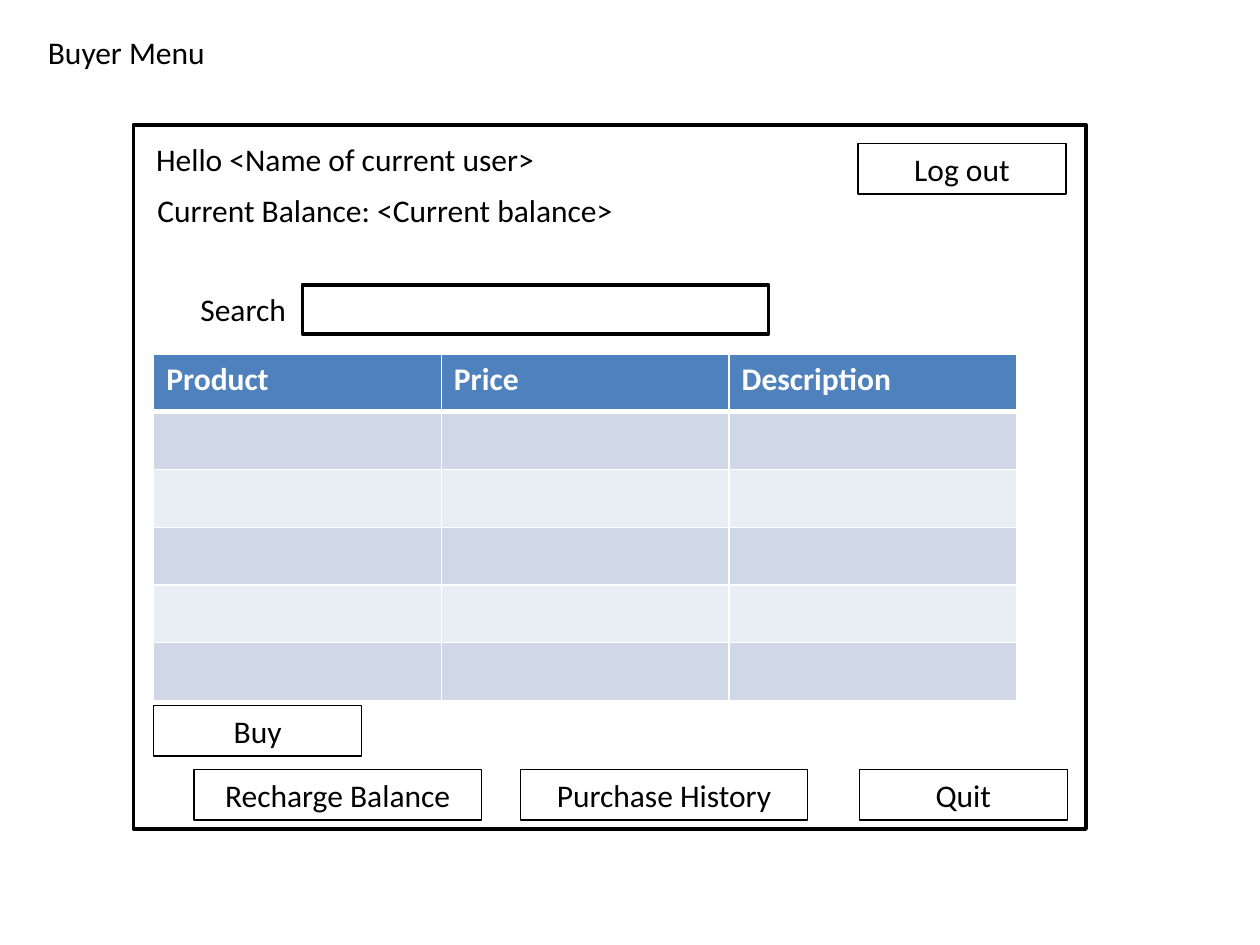
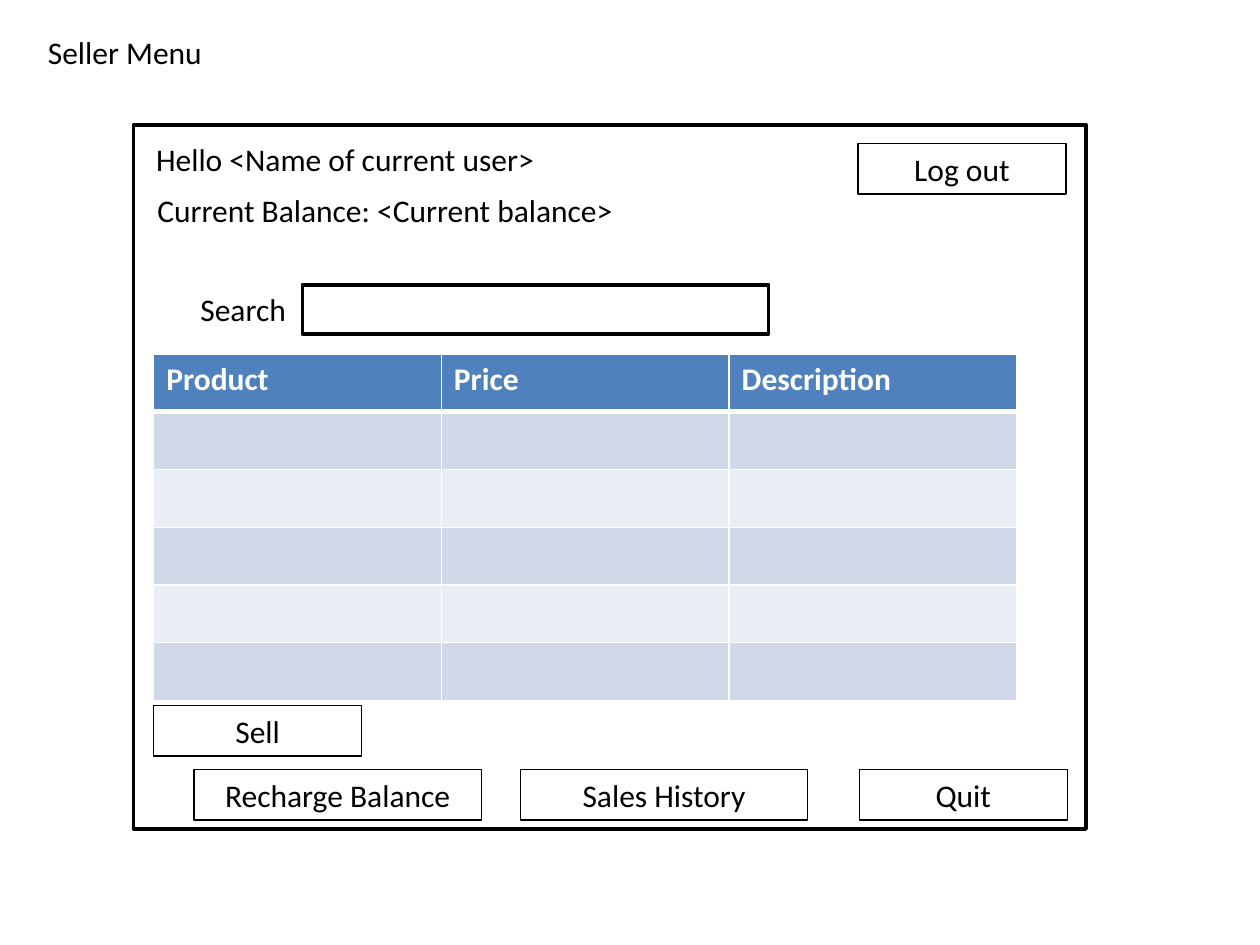
from lxml.etree import SubElement
from pptx import Presentation
from pptx.dml.color import RGBColor
from pptx.enum.shapes import MSO_SHAPE
from pptx.enum.text import MSO_ANCHOR, MSO_AUTO_SIZE, PP_ALIGN
from pptx.oxml.ns import qn
from pptx.util import Inches, Pt

BLACK = RGBColor(0x00, 0x00, 0x00)
WHITE = RGBColor(0xFF, 0xFF, 0xFF)
HEADER_BLUE = RGBColor(0x4F, 0x81, 0xBD)
BAND_DARK = RGBColor(0xD0, 0xD8, 0xE8)
BAND_LIGHT = RGBColor(0xE9, 0xED, 0xF4)

FONT = "Calibri"
TEXT_SIZE = Pt(18)
GRID_COLUMNS, GRID_ROWS = 100, 75
TITLE_ONLY_LAYOUT = 5

# Widths and heights in grid units
LINE_HEIGHT = 4
SMALL_BUTTON, WIDE_BUTTON = 16.5, 22.8
CONTENT_LEFT = 12.2
BOTTOM_ROW = 61.1
HEADINGS = ("Product", "Price", "Description")
EMPTY_ROWS = 5


class MenuMockup:
    """Holds the shared style and draws on the current slide."""

    def __init__(self, presentation):
        """Measure the grid on the slide size."""
        self.presentation = presentation
        self.column = presentation.slide_width / GRID_COLUMNS
        self.row = presentation.slide_height / GRID_ROWS
        self.slide = None

    def box(self, left, top, width, height):
        """Turn grid units into left, top, width and height."""
        return (round(left * self.column), round(top * self.row),
                round(width * self.column), round(height * self.row))

    def style_text(self, text_frame, color=BLACK, bold=False,
                   alignment=PP_ALIGN.LEFT):
        """Give every paragraph the common font and the alignment."""
        for paragraph in text_frame.paragraphs:
            paragraph.alignment = alignment
            for run in paragraph.runs:
                run.font.name = FONT
                run.font.size = TEXT_SIZE
                run.font.bold = bold
                run.font.color.rgb = color

    def start_slide(self, title):
        """Add a slide with its title in the top left corner."""
        layout = self.presentation.slide_layouts[TITLE_ONLY_LAYOUT]
        self.slide = self.presentation.slides.add_slide(layout)
        shape = self.slide.shapes.title
        shape.left, shape.top, shape.width, shape.height = self.box(
            2.8, 2.1, 14.6, LINE_HEIGHT)
        text_frame = shape.text_frame
        text_frame.text = title
        text_frame.word_wrap = False
        text_frame.auto_size = MSO_AUTO_SIZE.SHAPE_TO_FIT_TEXT
        text_frame.vertical_anchor = MSO_ANCHOR.TOP
        self.style_text(text_frame)

    def label(self, text, left, top, width, alignment=PP_ALIGN.LEFT):
        """Add a line of plain text."""
        shape = self.slide.shapes.add_textbox(
            *self.box(left, top, width, LINE_HEIGHT))
        text_frame = shape.text_frame
        text_frame.text = text
        text_frame.word_wrap = True
        text_frame.auto_size = MSO_AUTO_SIZE.SHAPE_TO_FIT_TEXT
        self.style_text(text_frame, alignment=alignment)

    def frame(self, left, top, width, height):
        """Add a white rectangle with a thick outline."""
        shape = self.slide.shapes.add_shape(
            MSO_SHAPE.RECTANGLE, *self.box(left, top, width, height))
        shape.shadow.inherit = False
        shape.fill.solid()
        shape.fill.fore_color.rgb = WHITE
        shape.line.color.rgb = BLACK
        shape.line.width = Pt(2)

    def button(self, text, left, top, width=SMALL_BUTTON):
        """Add a thinly outlined button with a centred caption."""
        shape = self.slide.shapes.add_shape(
            MSO_SHAPE.RECTANGLE, *self.box(left, top, width, LINE_HEIGHT))
        shape.shadow.inherit = False
        shape.fill.background()
        shape.line.color.rgb = BLACK
        shape.line.width = Pt(0.75)
        text_frame = shape.text_frame
        text_frame.text = text
        text_frame.word_wrap = True
        text_frame.auto_size = MSO_AUTO_SIZE.SHAPE_TO_FIT_TEXT
        self.style_text(text_frame, alignment=PP_ALIGN.CENTER)

    def cell_borders(self, cell, top, bottom):
        """Draw white borders round a cell; top and bottom are in points."""
        properties = cell._tc.get_or_add_tcPr()
        widths = {"a:lnL": 1, "a:lnR": 1, "a:lnT": top, "a:lnB": bottom}
        for tag, points in widths.items():
            line = SubElement(properties, qn(tag), w=str(Pt(points)))
            fill = SubElement(line, qn("a:solidFill"))
            SubElement(fill, qn("a:srgbClr"), val=str(WHITE))

    def product_table(self, left, top, width, height):
        """Add the headed, banded table of products."""
        table = self.slide.shapes.add_table(
            EMPTY_ROWS + 1, len(HEADINGS),
            *self.box(left, top, width, height)).table
        for column, heading in enumerate(HEADINGS):
            table.cell(0, column).text = heading
            self.style_text(table.cell(0, column).text_frame, WHITE, bold=True)
        for index, row in enumerate(table.rows):
            band = BAND_DARK if index % 2 else BAND_LIGHT
            for cell in row.cells:
                self.cell_borders(cell, top=3 if index == 1 else 1,
                                  bottom=3 if index == 0 else 1)
                cell.fill.solid()
                cell.fill.fore_color.rgb = band if index else HEADER_BLUE

    def menu(self, title, action, history):
        """Draw one menu screen with its own action and history buttons."""
        self.start_slide(title)
        self.frame(10.6, 9.9, 75.6, 55.9)
        self.label("Hello <Name of current user>", 11.4, 10.6, 51.2)
        self.label("Current Balance: <Current balance>", 11.5, 14.7, 51.2)
        self.button("Log out", 68.1, 11.4)
        self.frame(24, 22.6, 37, 3.9)
        self.label("Search", CONTENT_LEFT, 22.5, 14.2, PP_ALIGN.CENTER)
        self.product_table(CONTENT_LEFT, 28.1, 68.5, 27.5)
        self.button(action, CONTENT_LEFT, 56)
        self.button("Recharge Balance", 15.4, BOTTOM_ROW, WIDE_BUTTON)
        self.button(history, 41.3, BOTTOM_ROW, WIDE_BUTTON)
        self.button("Quit", 68.2, BOTTOM_ROW)


def main():
    """Build both menu slides and save them."""
    presentation = Presentation()
    presentation.slide_width = Inches(10)
    presentation.slide_height = Inches(7.5)
    mockup = MenuMockup(presentation)
    mockup.menu("Buyer Menu", "Buy", "Purchase History")
    mockup.menu("Seller Menu", "Sell", "Sales History")
    presentation.save("out.pptx")


main()
